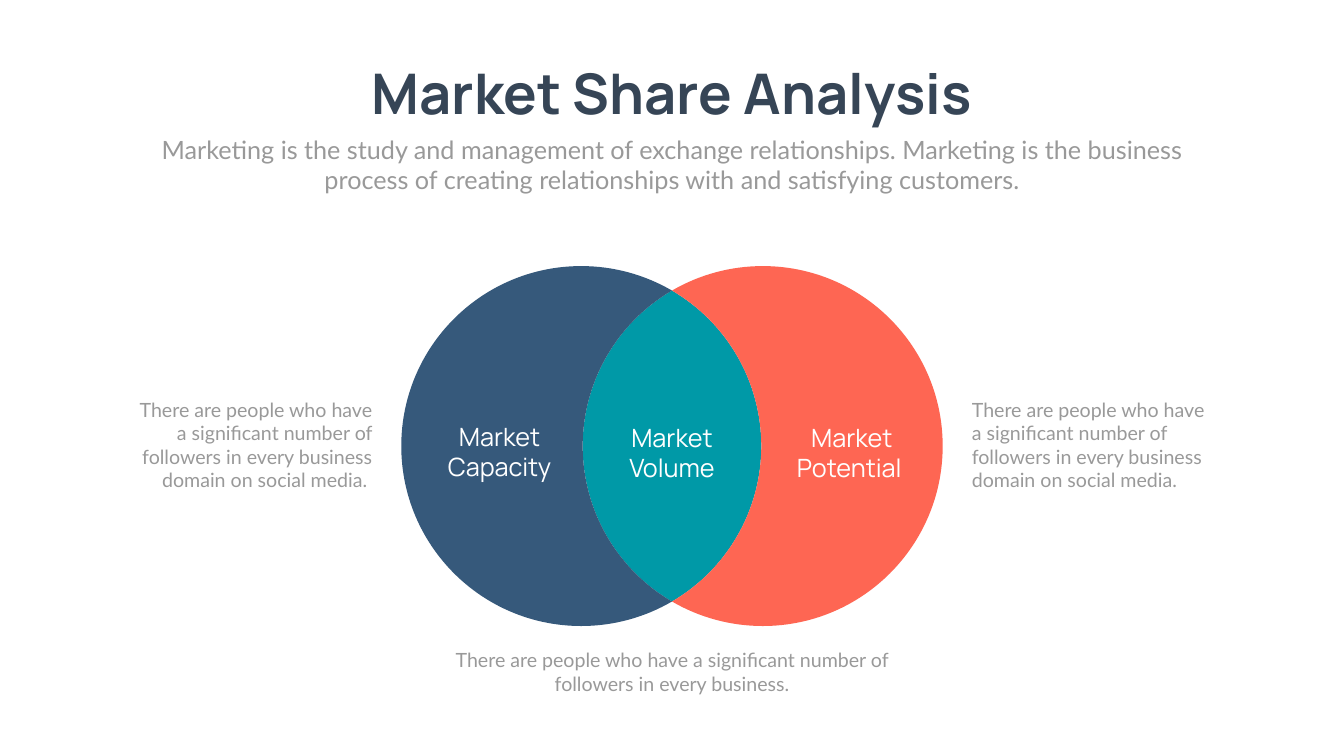
import itertools
import math

import pptx
import pptx.dml.color
import pptx.enum.text
import pptx.oxml
import pptx.oxml.ns
import pptx.util

Cm = pptx.util.Cm
ALIGN = pptx.enum.text.PP_ALIGN
SLIDE_WIDTH, SLIDE_HEIGHT = 67.72, 38.1
NAVY, TEAL, CORAL = "36597B", "0099A7", "FE6653"
INK, GREY, WHITE = "364556", "999999", "FFFFFF"
NOTE = "There are people who have a significant number of followers in every business"


def color(hex_string):
    return pptx.dml.color.RGBColor.from_string(hex_string)


def add_text(slide, box, text, size, font_name, hex_string, align, bold=False, wrap=True):
    shape = slide.shapes.add_textbox(*(Cm(length) for length in box))
    frame = shape.text_frame
    frame.word_wrap = wrap
    frame.margin_left = frame.margin_right = Cm(0.25)
    frame.margin_top = frame.margin_bottom = Cm(0.13)
    frame.text = text
    paragraph = frame.paragraphs[0]
    paragraph.alignment = align
    font = paragraph.runs[0].font
    font.name = font_name
    font.size = pptx.util.Pt(size)
    font.bold = bold
    font.color.rgb = color(hex_string)


def arc(center_x, center_y, radius, angles):
    points = []
    for start, end in itertools.pairwise(angles):
        handle = 4 / 3 * math.tan((end - start) / 4)
        cos_start, sin_start = math.cos(start), math.sin(start)
        cos_end, sin_end = math.cos(end), math.sin(end)
        units = [
            (cos_start - handle * sin_start, sin_start + handle * cos_start),
            (cos_end + handle * sin_end, sin_end - handle * cos_end),
            (cos_end, sin_end),
        ]
        points += [(center_x + radius * x, center_y + radius * y) for x, y in units]
    return points


def add_region(slide, curve_points, hex_string):
    points = [(Cm(x), Cm(y)) for x, y in curve_points]
    builder = slide.shapes.build_freeform(*points[-1])
    builder.add_line_segments(points, close=True)
    shape = builder.convert_to_shape()
    segments = list(shape.element.iter(pptx.oxml.ns.qn("a:lnTo")))
    for index in range(0, len(segments), 3):
        curve = pptx.oxml.parse_xml(
            f'<a:cubicBezTo {pptx.oxml.ns.nsdecls("a")}/>')
        segments[index].addprevious(curve)
        for segment in segments[index:index + 3]:
            curve.append(segment[0])
            segment.getparent().remove(segment)
    shape.shadow.inherit = False
    shape.fill.solid()
    shape.fill.fore_color.rgb = color(hex_string)
    shape.line.fill.background()


def add_header(slide, left, top, width):
    title_width = 33.38
    title_box = (left + (width - title_width) / 2, top, title_width, 3.68)
    add_text(slide, title_box, "Market Share Analysis", 80, "Manrope", INK,
             ALIGN.CENTER, bold=True, wrap=False)
    add_text(slide, (left, top + 3.79, width, 3.33),
             "Marketing is the study and management of exchange relationships. "
             "Marketing is the business process of creating relationships with "
             "and satisfying customers.",
             36, "Lato", GREY, ALIGN.CENTER)


def add_venn(slide, left, top, width, height):
    radius = height / 2
    center_x, center_y = left + width / 2, top + radius
    left_circle = (left + radius, center_y, radius)
    right_circle = (left + width - radius, center_y, radius)
    half = math.acos((width / 2 - radius) / radius)
    turn = math.pi

    left_inner = [-half, 0, half]
    right_inner = [turn - half, turn, turn + half]
    left_outer = [half, turn / 2, turn, 3 * turn / 2, 2 * turn - half]
    right_outer = [half - turn, -turn / 2, 0, turn / 2, turn - half]
    regions = [
        (left_inner, right_inner, TEAL),
        (left_outer, right_inner[::-1], NAVY),
        (left_inner[::-1], right_outer, CORAL),
    ]
    for left_angles, right_angles, hex_string in regions:
        outline = arc(*left_circle, left_angles) + arc(*right_circle, right_angles)
        add_region(slide, outline, hex_string)

    labels = [
        ("Market Volume", 0, 7.75, 6.55),
        ("Market Capacity", -8.69, 7.7, 6.71),
        ("Market Potential ", 9.06, 7.75, 6.91),
    ]
    for text, offset, drop, label_width in labels:
        box = (center_x + offset - label_width / 2, top + drop, label_width, 2.74)
        add_text(slide, box, text, 36, "Manrope", WHITE, ALIGN.CENTER)


def add_notes_around(slide, left, top, width, height):
    side_width, side_gap = 12.9, 1.22
    bottom_width = 22.94
    full_note = NOTE + " domain on social media."
    notes = [
        ((left + width + side_gap, top + 6.5, side_width, 5.05), full_note, ALIGN.LEFT),
        ((left - side_gap - side_width, top + 6.5, side_width, 5.05), full_note + " ", ALIGN.RIGHT),
        ((left + (width - bottom_width) / 2, top + height + 0.99, bottom_width, 2.64),
         NOTE + ".", ALIGN.CENTER),
    ]
    for box, text, align in notes:
        add_text(slide, box, text, 28, "Lato", GREY, align)


def main():
    presentation = pptx.Presentation()
    presentation.slide_width = Cm(SLIDE_WIDTH)
    presentation.slide_height = Cm(SLIDE_HEIGHT)
    slide = presentation.slides.add_slide(presentation.slide_layouts[6])

    header_width, venn_width = 52.88, 27.28
    add_header(slide, (SLIDE_WIDTH - header_width) / 2, 2.84, header_width)
    venn_box = ((SLIDE_WIDTH - venn_width) / 2, 13.41, venn_width, 18.14)
    add_venn(slide, *venn_box)
    add_notes_around(slide, *venn_box)
    presentation.save("out.pptx")


if __name__ == "__main__":
    main()
